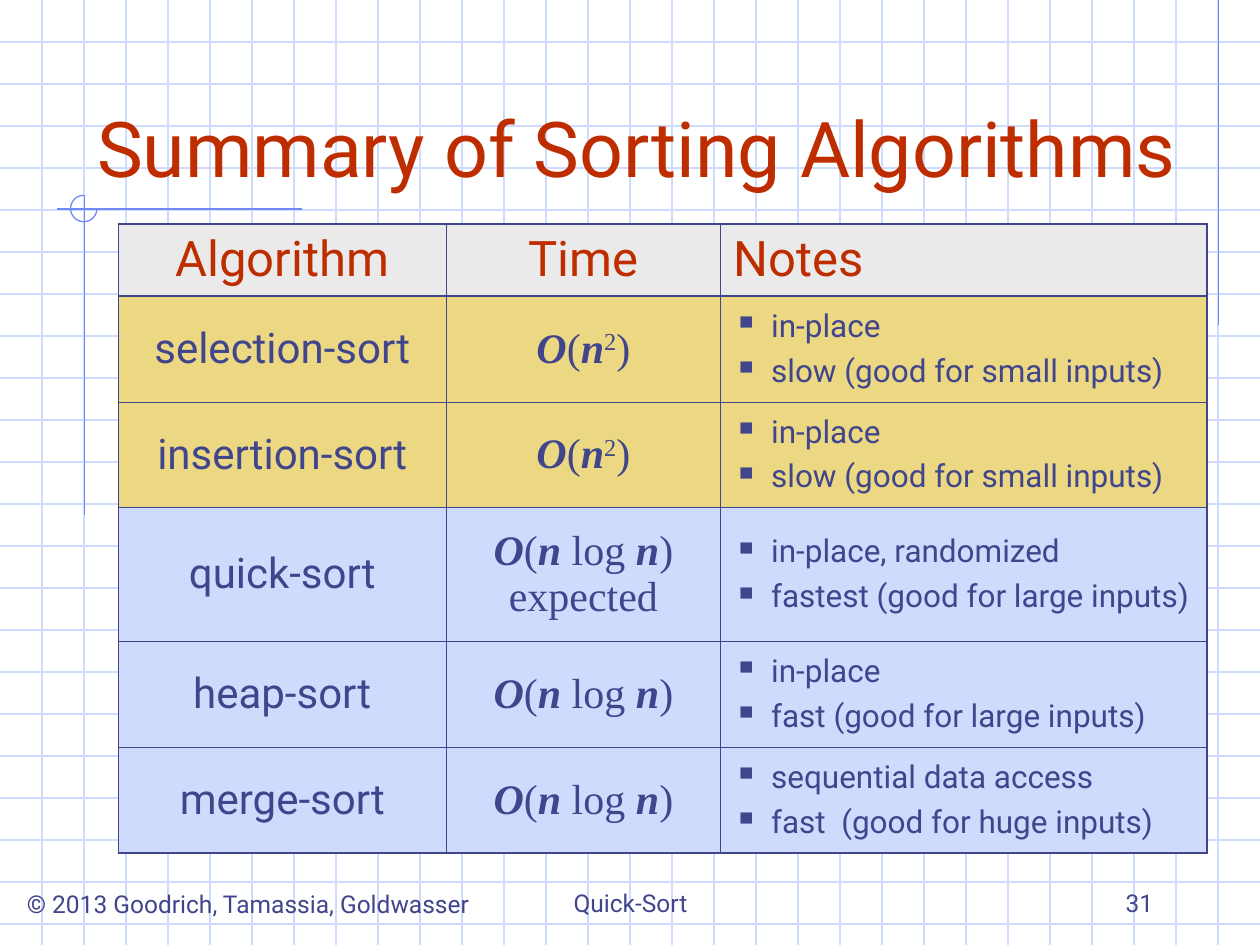
from lxml import etree
from pptx import Presentation
from pptx.dml.color import RGBColor
from pptx.enum.shapes import MSO_CONNECTOR, MSO_SHAPE
from pptx.enum.text import MSO_ANCHOR, MSO_AUTO_SIZE, PP_ALIGN
from pptx.oxml.ns import qn
from pptx.util import Inches, Pt

LEFT, CENTER, RIGHT = PP_ALIGN.LEFT, PP_ALIGN.CENTER, PP_ALIGN.RIGHT
MIDDLE, BOTTOM = MSO_ANCHOR.MIDDLE, MSO_ANCHOR.BOTTOM
STRAIGHT, ARC = MSO_CONNECTOR.STRAIGHT, MSO_SHAPE.ARC

NAVY = RGBColor(0x40, 0x45, 0x8C)
RUST = RGBColor(0xBE, 0x2D, 0x00)
PALE = RGBColor(0xCF, 0xDB, 0xFD)
BLUE = RGBColor(0x6F, 0x89, 0xF7)
GOLD = RGBColor(0xEC, 0xD8, 0x82)
GRAY = RGBColor(0xEA, 0xEA, 0xEA)

TITLE = {"name": "Roboto", "size": Pt(44), "color": RUST}
HEAD = {**TITLE, "size": Pt(28)}
FOOT = {"name": "Roboto", "size": Pt(14), "color": NAVY}
NAME = {**FOOT, "size": Pt(24)}
NOTE = {**FOOT, "size": Pt(18)}
MATH = {**NAME, "name": "Times New Roman"}
VAR = {**MATH, "bold": True, "italic": True}

SQUARE = [("O", VAR), ("(", MATH), ("n", VAR), ("2", {**MATH, "raise": 30}), (")", MATH)]
LOG = [("O", VAR), ("(", MATH), ("n", VAR), (" log ", MATH), ("n", VAR), (")", MATH)]

COLS = [2.6, 2.18, 3.86]
ROWS = [0.57, 0.84, 0.84, 1.06, 0.84, 0.84]
SORTS = [
    ("selection-sort", SQUARE, ["in-place", "slow (good for small inputs)"], GOLD),
    ("insertion-sort", SQUARE, ["in-place", "slow (good for small inputs)"], GOLD),
    ("quick-sort", LOG + [("\n", MATH), ("expected", MATH)],
     ["in-place, randomized", "fastest (good for large inputs)"], PALE),
    ("heap-sort", LOG, ["in-place", "fast (good for large inputs)"], PALE),
    ("merge-sort", LOG, ["sequential data access", "fast  (good for huge inputs)"], PALE),
]


def add_run(para, text, style):
    if text == "\n":
        para.add_line_break()
        return
    run = para.add_run()
    run.text = text
    for key, value in style.items():
        if key == "color":
            run.font.color.rgb = value
        elif key == "raise":
            run.font._element.set("baseline", str(value * 1000))
        else:
            setattr(run.font, key, value)


def add_line(slide, x1, y1, x2, y2, color):
    line = slide.shapes.add_connector(
        STRAIGHT, Inches(x1), Inches(y1), Inches(x2), Inches(y2))
    line.line.color.rgb = color
    line.line.width = Pt(0.75)
    etree.SubElement(line._element.spPr, qn("a:effectLst"))


def add_grid(slide):
    for step in range(1, 23):
        add_line(slide, 0, step / 3, 10, step / 3, PALE)
    for step in range(1, 30):
        add_line(slide, step / 3, 0, step / 3, 7.5, PALE)


def add_marks(slide):
    add_line(slide, 9.67, 0, 9.67, 2.58, BLUE)
    add_line(slide, 2.4, 1.66, 0.45, 1.66, BLUE)
    add_line(slide, 0.67, 1.55, 0.67, 4.09, BLUE)
    arc = slide.shapes.add_shape(
        ARC, Inches(0.56), Inches(1.55), Inches(0.21), Inches(0.21))
    # Clockwise from the right (0 degrees) to the top (270 degrees)
    arc.adjustments[0], arc.adjustments[1] = 0, 162
    arc.shadow.inherit = False
    arc.fill.background()
    arc.line.color.rgb = BLUE
    arc.line.width = Pt(0.75)


def add_title(slide, text):
    title = slide.shapes.title
    title.left, title.top = Inches(0.67), Inches(0.33)
    title.width, title.height = Inches(8.83), Inches(1.25)
    frame = title.text_frame
    frame.auto_size = MSO_AUTO_SIZE.NONE
    frame.vertical_anchor = BOTTOM
    para = frame.paragraphs[0]
    para.alignment = LEFT
    add_run(para, text, TITLE)
    slide.shapes._spTree.append(title._element)  # in front of the grid


def add_label(slide, text, x, y, w, h, align, wrap=True):
    box = slide.shapes.add_textbox(Inches(x), Inches(y), Inches(w), Inches(h))
    frame = box.text_frame
    frame.word_wrap = wrap
    frame.vertical_anchor = BOTTOM
    para = frame.paragraphs[0]
    para.alignment = align
    add_run(para, text, FOOT)


def add_bullet(para):
    props = para._p.get_or_add_pPr()
    props.set("marL", str(Inches(0.3)))
    props.set("indent", str(-Inches(0.3)))
    tint = etree.SubElement(props, qn("a:buClr"))
    etree.SubElement(tint, qn("a:srgbClr"), val=str(NAVY))
    etree.SubElement(props, qn("a:buSzPct"), val="110000")
    etree.SubElement(props, qn("a:buChar"), char="▪")


def set_edges(cell, row, col):
    """Thick rules around the table and below its header, thin ones inside."""
    thick = {"L": col == 0, "R": col == len(COLS) - 1,
             "T": row <= 1, "B": row in (0, len(ROWS) - 1)}
    props = cell._tc.get_or_add_tcPr()
    for side, heavy in thick.items():
        edge = etree.SubElement(
            props, qn("a:ln" + side), w=str(Pt(1.08 if heavy else 0.45)))
        fill = etree.SubElement(edge, qn("a:solidFill"))
        etree.SubElement(fill, qn("a:srgbClr"), val=str(NAVY))


def fill_cell(table, row, col, runs, fill, align=CENTER):
    cell = table.cell(row, col)
    set_edges(cell, row, col)
    cell.fill.solid()
    cell.fill.fore_color.rgb = fill
    cell.vertical_anchor = MIDDLE
    para = cell.text_frame.paragraphs[0]
    para.alignment = align
    for text, style in runs:
        add_run(para, text, style)
    return cell


def add_notes(cell, notes):
    frame = cell.text_frame
    for index, note in enumerate(notes):
        para = frame.add_paragraph() if index else frame.paragraphs[0]
        if index:
            para.space_before = Pt(4.5)
        add_bullet(para)
        add_run(para, note, NOTE)


def add_sorts(slide):
    table = slide.shapes.add_table(
        len(ROWS), len(COLS), Inches(0.94), Inches(1.78),
        Inches(sum(COLS)), Inches(sum(ROWS))).table
    for col, width in zip(table.columns, COLS):
        col.width = Inches(width)
    for row, height in zip(table.rows, ROWS):
        row.height = Inches(height)
    heads = [("Algorithm", CENTER), ("Time", CENTER), ("Notes", LEFT)]
    for col, (text, align) in enumerate(heads):
        fill_cell(table, 0, col, [(text, HEAD)], GRAY, align)
    for row, (name, time, notes, fill) in enumerate(SORTS, 1):
        fill_cell(table, row, 0, [(name, NAME)], fill)
        fill_cell(table, row, 1, time, fill)
        add_notes(fill_cell(table, row, 2, [], fill, LEFT), notes)


def main():
    deck = Presentation()
    deck.slide_width, deck.slide_height = Inches(10), Inches(7.5)
    slide = deck.slides.add_slide(deck.slide_layouts[5])
    add_grid(slide)
    add_marks(slide)
    add_label(slide, "© 2013 Goodrich, Tamassia, Goldwasser",
              0.03, 7, 3.88, 0.34, CENTER, wrap=False)
    add_label(slide, "Quick-Sort", 3.42, 6.83, 3.17, 0.5, CENTER)
    add_label(slide, "31", 7.17, 6.83, 2.08, 0.5, RIGHT)
    add_title(slide, "Summary of Sorting Algorithms")
    add_sorts(slide)
    deck.save("out.pptx")


if __name__ == "__main__":
    main()
